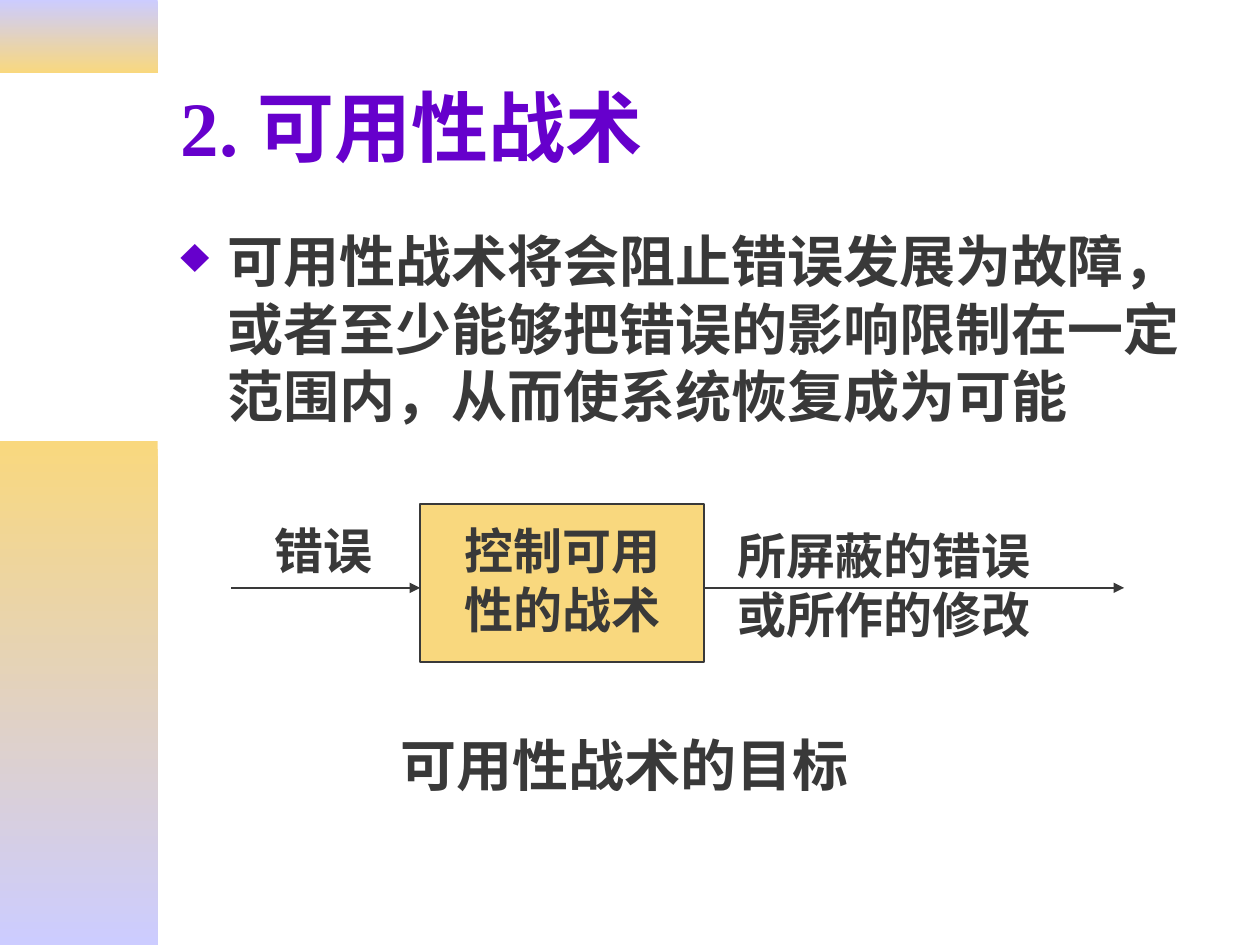
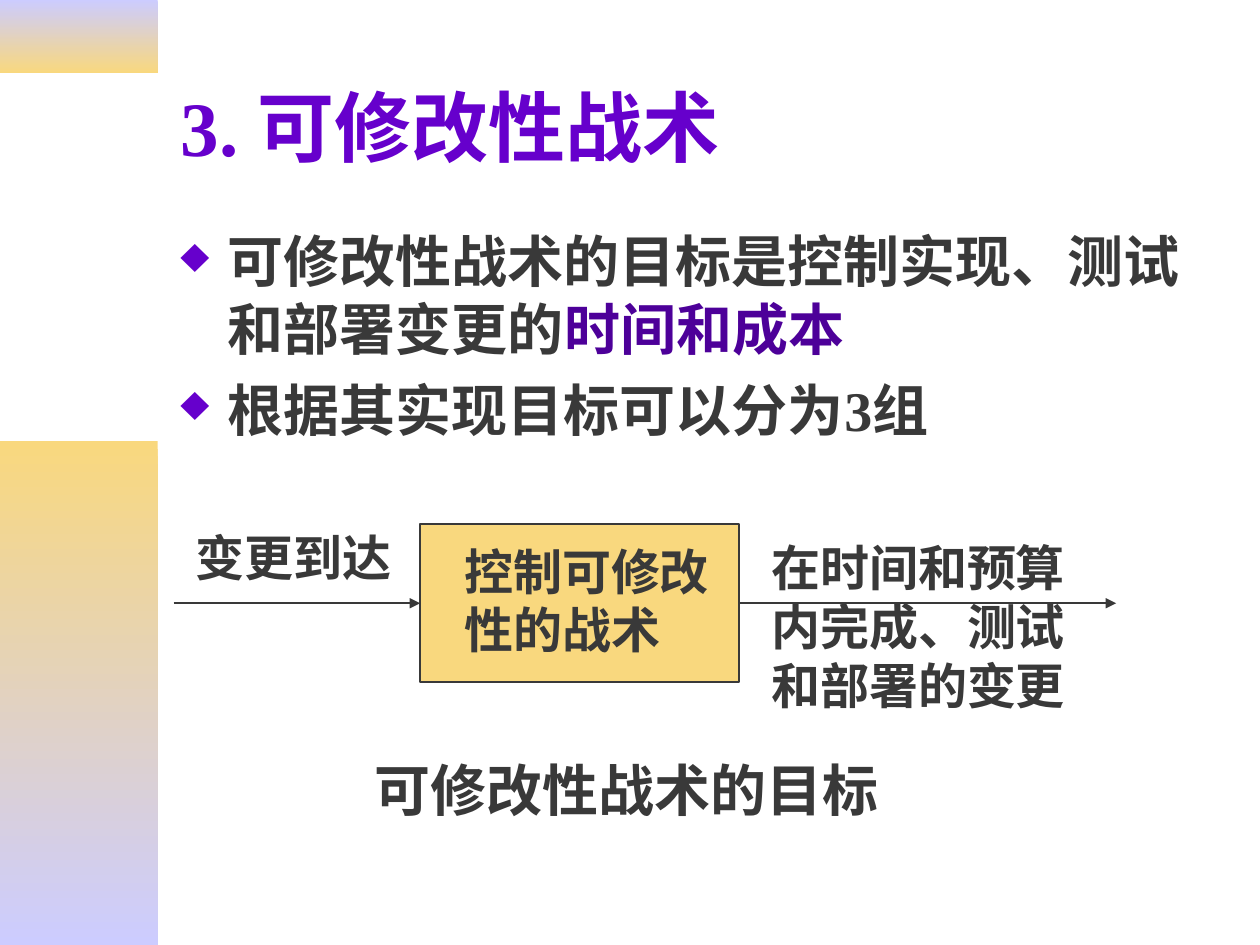
from lxml import etree
from pptx import Presentation
from pptx import util as u
from pptx.dml.color import RGBColor
from pptx.enum import lang, shapes, text
from pptx.oxml.ns import qn

PURPLE, DEEP, INK = "6600CC", "4D0099", "393939"
LILAC, SAND = "CCCCFF", "F9D87E"
FONT = "Times New Roman"
LINE_FACTOR = 1.2


def rgb(value):
    return RGBColor.from_string(value)


def add_xml(parent, tag, **attrs):
    return etree.SubElement(parent, qn(tag), attrs)


class Deck:
    """Holds the shared style and the current slide."""

    def __init__(self):
        self.prs = Presentation()
        self.prs.slide_width, self.prs.slide_height = u.Cm(25.4), u.Cm(19.05)
        self.s = None

    def new_slide(self, title, bullets):
        self.s = self.prs.slides.add_slide(self.prs.slide_layouts[6])
        self.band(0, 1.48, LILAC, SAND)
        self.band(8.89, 10.16, SAND, LILAC)
        self.label((3.39, 0.85, 21.59, 3.35), [title], 44, PURPLE,
                   anchor=text.MSO_ANCHOR.MIDDLE)
        self.label((3.39, 4.45, 21.59, 4.87), bullets, 32, bullet=True)

    def rect(self, at):
        sp = self.s.shapes.add_shape(shapes.MSO_SHAPE.RECTANGLE, *map(u.Cm, at))
        sp.shadow.inherit = False
        return sp

    def band(self, top, height, first, last):
        sp = self.rect((0, top, 3.18, height))
        sp.line.fill.background()
        sp.fill.gradient()
        sp.fill.gradient_angle = 270
        for stop, colour in zip(sp.fill.gradient_stops, (first, last)):
            stop.color.rgb = rgb(colour)

    def set_text(self, tf, paragraphs, size, colour=INK, bullet=False,
                 anchor=text.MSO_ANCHOR.TOP):
        """Each paragraph is a string or a list of (string, colour) runs."""
        tf.word_wrap = True
        tf.vertical_anchor = anchor
        for i, runs in enumerate(paragraphs):
            p = tf.add_paragraph() if i else tf.paragraphs[0]
            if bullet:
                self.add_bullet(p)
            look = {"alignment": text.PP_ALIGN.LEFT,
                    "line_spacing": u.Pt(size * LINE_FACTOR),
                    "space_before": u.Pt(8 if i else 0)}
            for name, value in look.items():
                setattr(p, name, value)
            for words, tint in [(runs, colour)] if isinstance(runs, str) else runs:
                r = p.add_run()
                r.text = words
                look = {"name": FONT, "size": u.Pt(size), "bold": True,
                        "language_id": lang.MSO_LANGUAGE_ID.SIMPLIFIED_CHINESE}
                for name, value in look.items():
                    setattr(r.font, name, value)
                r.font.color.rgb = rgb(tint)

    def add_bullet(self, p):
        pPr = p._p.get_or_add_pPr()
        indent = u.Cm(0.95)
        pPr.set("marL", str(indent))
        pPr.set("indent", str(-indent))
        add_xml(add_xml(pPr, "a:buClr"), "a:srgbClr", val=PURPLE)
        add_xml(pPr, "a:buSzPct", val="90000")
        add_xml(pPr, "a:buChar", char="♦")

    def label(self, at, paragraphs, size, colour=INK, **style):
        sp = self.s.shapes.add_textbox(*map(u.Cm, at))
        self.set_text(sp.text_frame, paragraphs, size, colour, **style)

    def process_box(self, at, words):
        sp = self.rect(at)
        sp.fill.solid()
        sp.fill.fore_color.rgb = rgb(SAND)
        sp.line.color.rgb = rgb(INK)
        sp.line.width = u.Pt(1)
        tf = sp.text_frame
        margins = {"margin_left": 0.89, "margin_top": 0.34,
                   "margin_right": 0.25, "margin_bottom": 0.13}
        for name, value in margins.items():
            setattr(tf, name, u.Cm(value))
        self.set_text(tf, [words], 28)
        return sp

    def arrow(self, x1, x2, y):
        c = self.s.shapes.add_connector(
            shapes.MSO_CONNECTOR.STRAIGHT, *map(u.Cm, (x1, y, x2, y)))
        c.line.color.rgb = rgb(INK)
        c.line.width = u.Pt(1)
        spPr = c._element.spPr
        add_xml(spPr.find(qn("a:ln")), "a:tailEnd", type="triangle")
        add_xml(spPr, "a:effectLst")
        return c

    def flow(self, box_at, words, start, end, arrow_y=None):
        """Box with an arrow in and out; joined at mid-side unless arrow_y is given."""
        left, top, width, height = box_at
        y = arrow_y or top + height / 2
        box = self.process_box(box_at, words)
        arrow_in = self.arrow(start, left, y)
        arrow_out = self.arrow(left + width, end, y)
        if arrow_y is None:
            arrow_in.end_connect(box, 1)
            arrow_out.begin_connect(box, 3)


def main():
    deck = Deck()

    # Availability tactics
    deck.new_slide("2. 可用性战术", [
        "可用性战术将会阻止错误发展为故障，或者至少能够把错误的影响限制在一定范围内，"
        "从而使系统恢复成为可能"])
    deck.flow((8.47, 10.16, 5.72, 3.18), "控制可用性的战术", 4.66, 22.66, arrow_y=11.85)
    deck.label((5.29, 10.37, 2.75, 1.45), ["错误"], 28)
    deck.label((14.61, 10.48, 6.77, 2.64), ["所屏蔽的错误或所作的修改"], 28)
    deck.label((7.83, 14.61, 9.95, 1.63), ["可用性战术的目标"], 32)

    # Modifiability tactics
    deck.new_slide("3. 可修改性战术", [
        [("可修改性战术的目标是控制实现、测试和部署变更的", INK), ("时间和成本", DEEP)],
        "根据其实现目标可以分为3组"])
    deck.flow((8.47, 10.57, 6.43, 3.18), "控制可修改性的战术", 3.5, 22.5)
    deck.label((3.7, 10.52, 4.6, 1.45), ["变更到达"], 28)
    deck.label((15.3, 10.72, 6.77, 3.81), ["在时间和预算内完成、测试和部署的变更"], 28)
    deck.label((7.3, 15.11, 11.07, 1.63), ["可修改性战术的目标"], 32)

    deck.prs.save("out.pptx")


if __name__ == "__main__":
    main()
